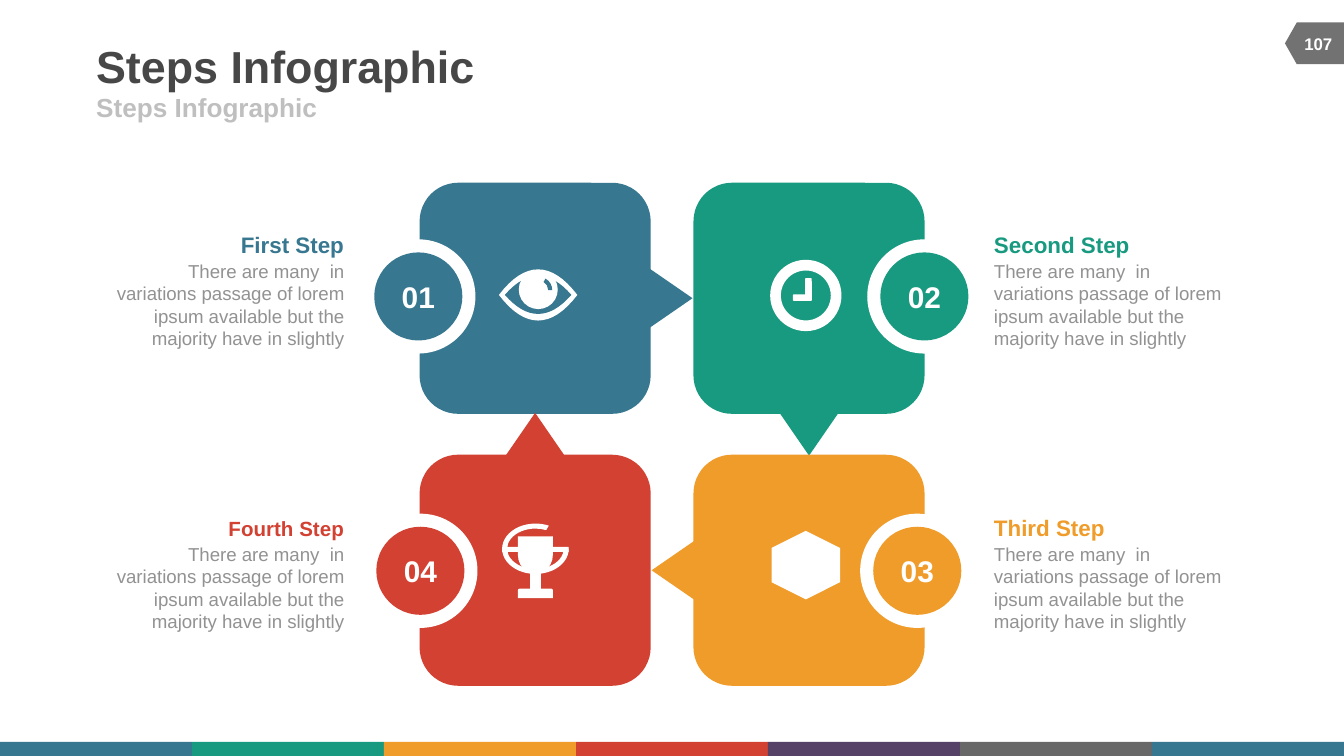
from pptx import Presentation
from pptx.dml.color import RGBColor
from pptx.enum.shapes import MSO_SHAPE
from pptx.enum.text import MSO_ANCHOR, PP_ALIGN
from pptx.oxml.ns import qn
from pptx.util import Pt
from lxml.etree import SubElement

COLORS = {
    "blue": "377790", "green": "189A80", "orange": "F09C2A", "red": "D24132",
    "purple": "564266", "gray": "686868", "tag": "727272", "white": "FFFFFF",
    "title": "474747", "subtitle": "BFBFBF", "body": "929292",
}
FONT = "Arial"

# Content: steps run clockwise; column and row are the place in the grid
TITLE = "Steps Infographic"
SUBTITLE = "Steps Infographic"
PAGE = "107"
PASSAGE = ("There are many  in variations passage of lorem ipsum "
           "available but the majority have in slightly")
STEPS = [
    {"number": "01", "heading": "First Step", "size": 12, "color": "blue",
     "column": 0, "row": 0, "arrow": (1, 0), "ring": 193.5},
    {"number": "02", "heading": "Second Step", "size": 12, "color": "green",
     "column": 1, "row": 0, "arrow": (0, 1), "ring": 464.6},
    {"number": "03", "heading": "Third Step", "size": 12, "color": "orange",
     "column": 1, "row": 1, "arrow": (-1, 0), "ring": 460.8},
    {"number": "04", "heading": "Fourth Step", "size": 11, "color": "red",
     "column": 0, "row": 1, "arrow": (0, -1), "ring": 194.6},
]
STRIP = ["blue", "green", "orange", "red", "purple", "gray", "blue"]

# Layout
TILE_LEFT, TILE_TOP, TILE, TILE_STEP = 224.8, 97.9, 123.8, 146.7
ARROW_WIDTH, ARROW_HEIGHT, ARROW_REACH = 31.7, 23, 72.8
ARROW_ROTATION = {(1, 0): 90, (0, 1): 180, (-1, 0): 270, (0, -1): 0}
RING_TOP, RING_STEP, RING, DISC = 128.2, 147, 61.2, 47.2
TEXT_TOP, TEXT_STEP, TEXT_WIDTH, BODY_DROP = 124, 151.7, 126, 15.1
TEXT_LEFT = (58.3, 532.5)
STRIP_WIDTH = 720 / len(STRIP)

prs = Presentation()
prs.slide_width, prs.slide_height = Pt(720), Pt(405)
slide = prs.slides.add_slide(prs.slide_layouts[1])
shapes = slide.shapes


def paint(shape, color):
    shape.shadow.inherit = False
    shape.fill.solid()
    shape.fill.fore_color.rgb = RGBColor.from_string(COLORS[color])
    shape.line.fill.background()


def add_preset(kind, left, top, width, height, color="white", rotation=0,
               adjust=()):
    shape = shapes.add_shape(kind, Pt(left), Pt(top), Pt(width), Pt(height))
    shape.rotation = rotation
    for index, value in enumerate(adjust):
        shape.adjustments[index] = value
    paint(shape, color)
    return shape


def write(shape, text, size, color, bold=True, align=PP_ALIGN.LEFT,
          anchor=MSO_ANCHOR.MIDDLE, wrap=True, spacing=None):
    frame = shape.text_frame
    frame.margin_left = frame.margin_right = 0
    frame.margin_top = frame.margin_bottom = 0
    frame.word_wrap, frame.vertical_anchor = wrap, anchor
    frame.text = text
    paragraph = frame.paragraphs[0]
    paragraph.alignment, paragraph.space_before = align, Pt(0)
    paragraph.line_spacing = Pt(spacing) if spacing else 1.0
    properties = paragraph._p.get_or_add_pPr()
    properties.set("marL", "0")
    properties.set("indent", "0")
    SubElement(properties, qn("a:buNone"))
    font = paragraph.runs[0].font
    font.name, font.size, font.bold = FONT, Pt(size), bold
    font.color.rgb = RGBColor.from_string(COLORS[color])


def place(shape, left, top, width, height):
    shape.left, shape.top = Pt(left), Pt(top)
    shape.width, shape.height = Pt(width), Pt(height)
    return shape


def add_text(left, top, width, height, text, **style):
    box = shapes.add_textbox(Pt(left), Pt(top), Pt(width), Pt(height))
    write(box, text, **style)


def add_lens(center_x, center_y, half_width, half_height, color, steps=16):
    across = [2 * i / steps - 1 for i in range(steps + 1)]
    upper = [(x, x * x - 1) for x in across]
    lower = [(x, 1 - x * x) for x in reversed(across)]
    points = [(Pt(center_x + x * half_width), Pt(center_y + y * half_height))
              for x, y in upper + lower]
    builder = shapes.build_freeform(*points[0])
    builder.add_line_segments(points[1:])
    paint(builder.convert_to_shape(), color)


# Title and subtitle
write(place(shapes.title, 51.5, 21, 444, 28), TITLE, 24, "title", wrap=False)
write(place(slide.placeholders[1], 51.5, 49.2, 324, 16), SUBTITLE, 14,
      "subtitle", wrap=False)

# Bottom strip and page tag
for index, color in enumerate(STRIP):
    add_preset(MSO_SHAPE.RECTANGLE, index * STRIP_WIDTH, 397.5, STRIP_WIDTH, 7.5,
               color)
add_preset(MSO_SHAPE.FLOWCHART_OFFPAGE_CONNECTOR, 693, 7.4, 22.4, 31.7, "tag", 90)
add_text(691, 12.3, 30.5, 22, PAGE, size=9, color="white", align=PP_ALIGN.CENTER)

# Tiles with arrows
for step in STEPS:
    left = TILE_LEFT + step["column"] * TILE_STEP
    top = TILE_TOP + step["row"] * (TILE_STEP - 1)
    dx, dy = step["arrow"]
    add_preset(MSO_SHAPE.FLOWCHART_ALTERNATE_PROCESS, left, top, TILE, TILE,
               step["color"])
    add_preset(MSO_SHAPE.ISOSCELES_TRIANGLE,
               left + TILE / 2 + dx * ARROW_REACH - ARROW_WIDTH / 2,
               top + TILE / 2 + dy * ARROW_REACH - ARROW_HEIGHT / 2,
               ARROW_WIDTH, ARROW_HEIGHT, step["color"], ARROW_ROTATION[dx, dy])

# Number badges and step texts
for step in STEPS:
    left, top = step["ring"], RING_TOP + step["row"] * RING_STEP
    inset = (RING - DISC) / 2
    add_preset(MSO_SHAPE.OVAL, left, top, RING, RING)
    badge = add_preset(MSO_SHAPE.OVAL, left + inset, top + inset, DISC, DISC,
                       step["color"])
    write(badge, step["number"], 16, "white", align=PP_ALIGN.CENTER)

    left, top = TEXT_LEFT[step["column"]], TEXT_TOP + step["row"] * TEXT_STEP
    align = (PP_ALIGN.RIGHT, PP_ALIGN.LEFT)[step["column"]]
    add_text(left, top, TEXT_WIDTH, 14.4, step["heading"], size=step["size"],
             color=step["color"], align=align)
    add_text(left, top + BODY_DROP, TEXT_WIDTH, 48, PASSAGE, size=10,
             color="body", bold=False, align=align, anchor=MSO_ANCHOR.TOP,
             spacing=12)

# Eye icon
add_lens(288.3, 158, 21, 13.7, "white")
add_lens(288.3, 158, 17.8, 10.2, "blue")
add_preset(MSO_SHAPE.OVAL, 277.9, 144.7, 20.9, 20.9)
add_preset(MSO_SHAPE.BLOCK_ARC, 281.5, 148.3, 14.4, 14.4, "blue",
           adjust=(180, 270, 0.15))

# Clock icon
add_preset(MSO_SHAPE.DONUT, 412.6, 139.2, 38.2, 38.2, adjust=(0.15,))
add_preset(MSO_SHAPE.ROUNDED_RECTANGLE, 431.3, 149, 3.6, 12.2)
add_preset(MSO_SHAPE.ROUNDED_RECTANGLE, 424.8, 157.7, 10.1, 3.5)

# Plain mark on the third tile
add_preset(MSO_SHAPE.HEXAGON, 413.3, 284.4, 36.7, 36.7, rotation=90)

# Trophy icon: handles, rim, cup, stem, base
add_preset(MSO_SHAPE.BLOCK_ARC, 269, 280.5, 35.7, 27, adjust=(0, 180, 0.1))
add_preset(MSO_SHAPE.RECTANGLE, 269, 293, 35.7, 2.7)
add_preset(MSO_SHAPE.FLOWCHART_DELAY, 276.8, 288, 20, 18.7, rotation=90)
add_preset(MSO_SHAPE.RECTANGLE, 284, 306, 5.8, 10)
add_preset(MSO_SHAPE.ROUND_2_SAME_RECTANGLE, 277.5, 315.4, 18.7, 5)

prs.save("out.pptx")
